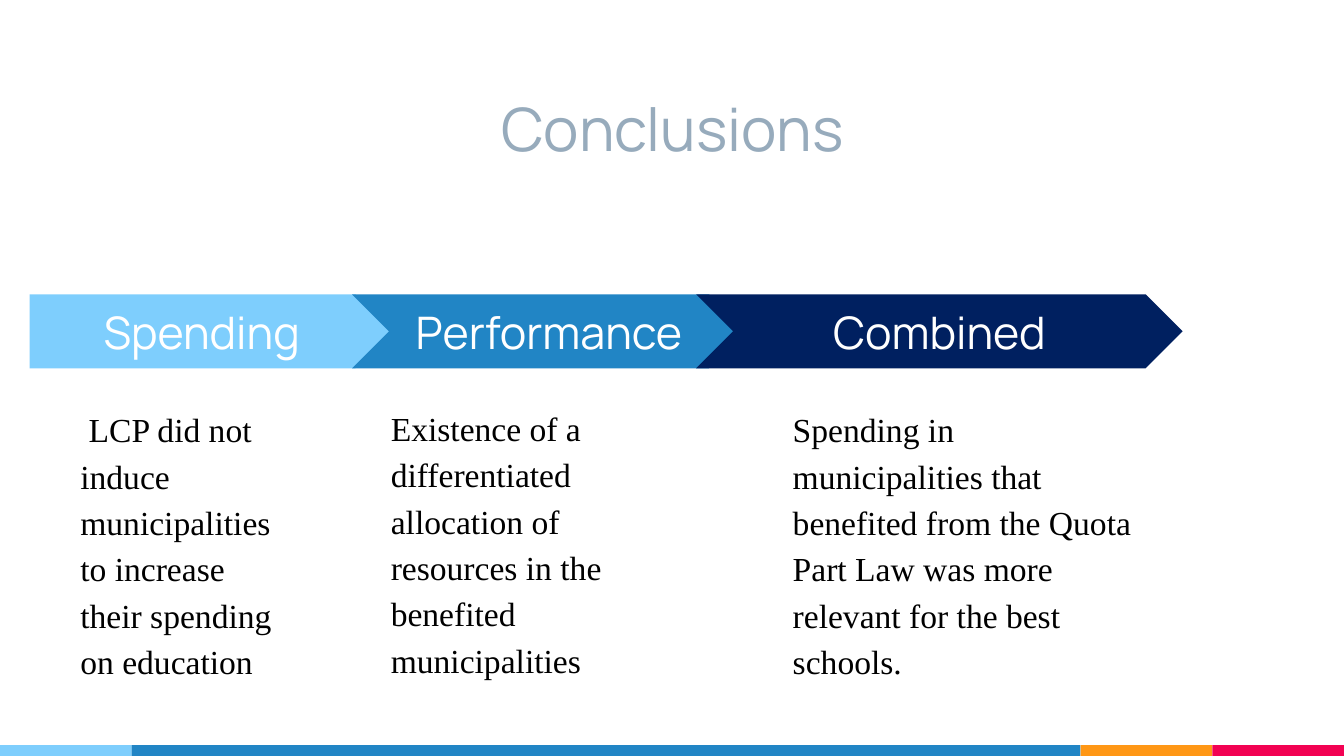
from pptx import Presentation
from pptx.dml.color import RGBColor
from pptx.enum.shapes import MSO_SHAPE
from pptx.enum.text import MSO_ANCHOR, PP_ALIGN
from pptx.util import Inches, Pt

RECTANGLE, PENTAGON, CHEVRON = MSO_SHAPE.RECTANGLE, MSO_SHAPE.PENTAGON, MSO_SHAPE.CHEVRON
TOP, MIDDLE, BOTTOM = MSO_ANCHOR.TOP, MSO_ANCHOR.MIDDLE, MSO_ANCHOR.BOTTOM
LEFT, CENTER = PP_ALIGN.LEFT, PP_ALIGN.CENTER

COLORS = {
    "sky": "7ECEFD", "blue": "2185C5", "navy": "002060", "orange": "FF9715",
    "pink": "F20253", "title": "97ABBC", "white": "FFFFFF", "black": "000000",
}
HEADING_FONT, BODY_FONT = "Manrope", "Times New Roman"
WIDTH = 10
HEIGHT = WIDTH * 9 / 16

STEPS = [
    ("Spending", PENTAGON, "sky", (0.22, 2.19, 2.7, 0.55), (0.28, 0.71, 1.7, 2.15),
     " LCP did not induce municipalities to increase their spending on education"),
    ("Performance", CHEVRON, "blue", (2.62, 2.19, 2.93, 0.55), (0.19, 0.7, 2.37, 2.15),
     "Existence of a differentiated allocation of resources in the benefited municipalities"),
    ("Combined", CHEVRON, "navy", (5.18, 2.19, 3.62, 0.55), (0.62, 0.71, 2.85, 2.15),
     "Spending in municipalities that benefited from the Quota Part Law was more "
     "relevant for the best schools."),
]


def write_text(shape, text, font, size, color, anchor, alignment, line_spacing=1.0):
    """Write one formatted run into a shape."""
    frame = shape.text_frame
    frame.word_wrap = True
    frame.vertical_anchor = anchor
    frame.margin_left = frame.margin_right = Inches(0.1)
    frame.margin_top = frame.margin_bottom = Inches(0.1)
    paragraph = frame.paragraphs[0]
    paragraph.alignment = alignment
    paragraph.line_spacing = line_spacing
    run = paragraph.add_run()
    run.text = text
    run.font.name = font
    run.font.size = Pt(size)
    run.font.color.rgb = RGBColor.from_string(COLORS[color])


def add_block(slide, kind, box, color):
    """Add a flat preset shape without outline or shadow."""
    shape = slide.shapes.add_shape(kind, *map(Inches, box))
    shape.shadow.inherit = False
    shape.fill.solid()
    shape.fill.fore_color.rgb = RGBColor.from_string(COLORS[color])
    shape.line.fill.background()
    return shape


def add_footer(slide, box):
    """Fill the bottom strip with one wide and three narrow bands."""
    left, top, width, height = box
    narrow = 0.98
    wide = width - 3 * narrow
    bands = [("sky", narrow), ("blue", wide), ("orange", narrow), ("pink", narrow)]
    for color, band_width in bands:
        add_block(slide, RECTANGLE, (left, top, band_width, height), color)
        left += band_width


def add_title(slide, box):
    """Place and format the title placeholder."""
    title = slide.shapes.title
    title.left, title.top, title.width, title.height = map(Inches, box)
    write_text(title, "Conclusions", HEADING_FONT, 32, "title", BOTTOM, CENTER)


def add_step(slide, box, heading, kind, color, body_box, body):
    """Add an arrow heading and the body text set relative to it."""
    left, top = box[:2]
    arrow = add_block(slide, kind, box, color)
    arrow.adjustments[0] = 0.5
    write_text(arrow, heading, HEADING_FONT, 24, "white", MIDDLE, CENTER)
    offset_x, offset_y, width, height = body_box
    text_box = slide.shapes.add_textbox(
        *map(Inches, (left + offset_x, top + offset_y, width, height)))
    write_text(text_box, body, BODY_FONT, 18, "black", TOP, LEFT, 1.15)


def main():
    """Build the conclusions slide."""
    presentation = Presentation()
    presentation.slide_width = Inches(WIDTH)
    presentation.slide_height = Inches(HEIGHT)
    slide = presentation.slides.add_slide(presentation.slide_layouts[5])
    add_footer(slide, (0, HEIGHT - 0.08, WIDTH, 0.08))
    add_title(slide, (1.47, 0.38, 7.07, 0.94))
    for heading, kind, color, box, body_box, body in STEPS:
        add_step(slide, box, heading, kind, color, body_box, body)
    presentation.save("out.pptx")


if __name__ == "__main__":
    main()
